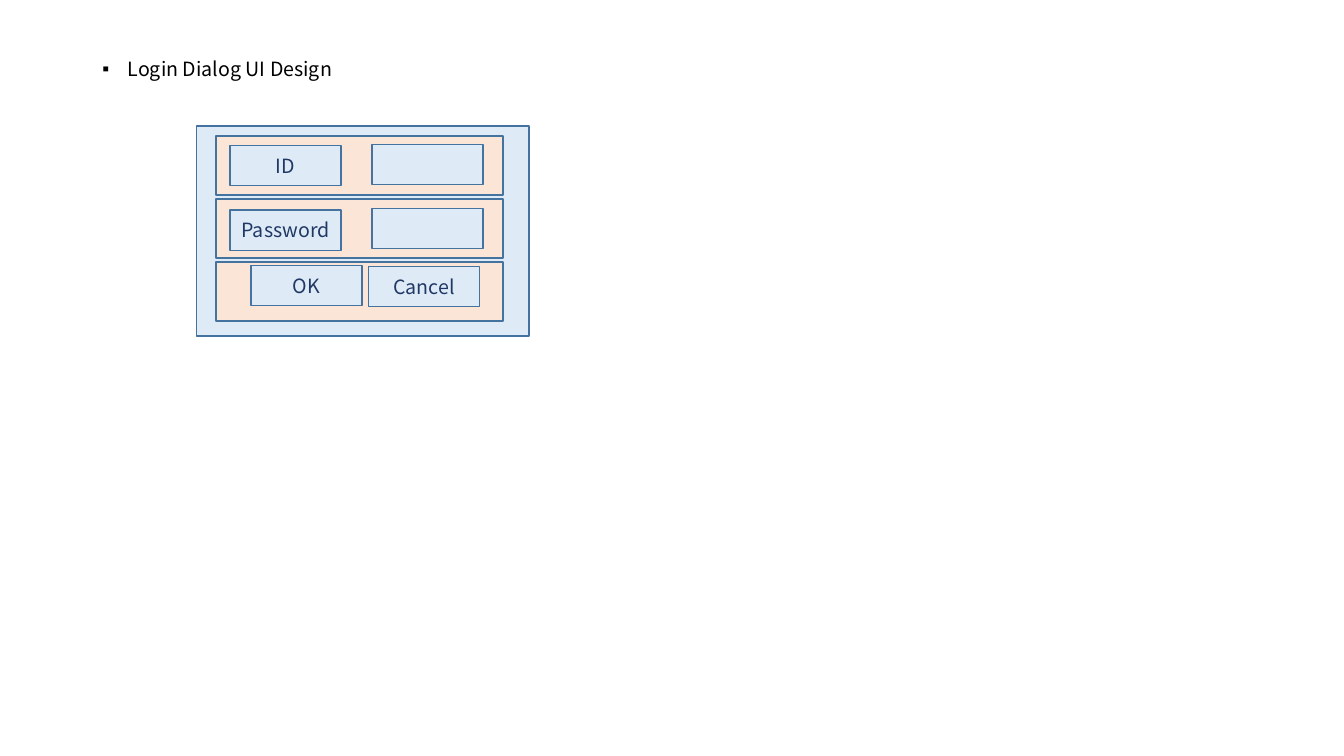
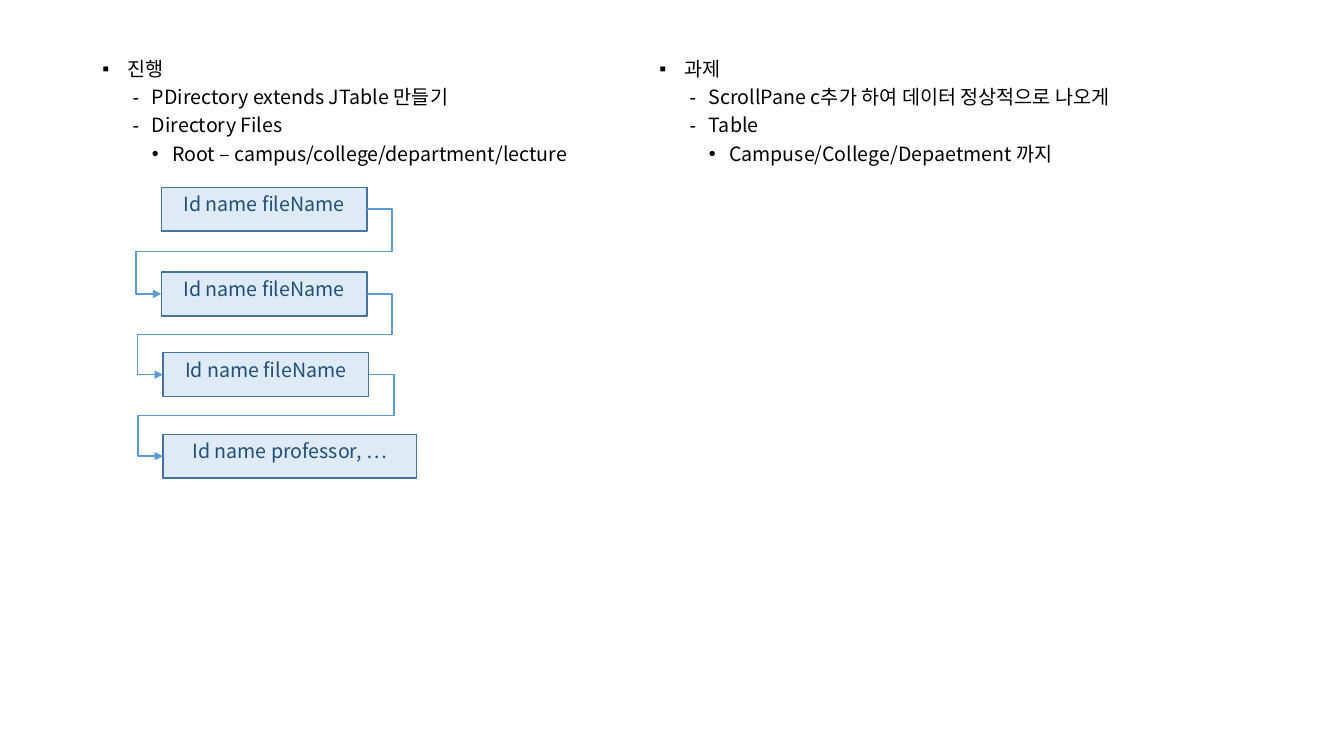
from lxml import etree
from pptx import Presentation
from pptx import util as u
from pptx.dml.color import RGBColor
from pptx.enum import shapes, text
from pptx.oxml.ns import qn

FONT = "Noto Sans CJK KR"
BLACK = RGBColor(0x00, 0x00, 0x00)
PALE_BLUE = RGBColor(0xDE, 0xEB, 0xF7)
PEACH = RGBColor(0xFB, 0xE5, 0xD6)
OUTLINE = RGBColor(0x43, 0x73, 0x9E)
ARROW = RGBColor(0x5B, 0x9B, 0xD5)
NAVY = RGBColor(0x20, 0x38, 0x64)
DEEP_BLUE = RGBColor(0x1F, 0x4E, 0x79)

SLIDE_WIDTH, SLIDE_HEIGHT = u.Inches(13.33), u.Inches(7.5)
COLUMN, ROW = SLIDE_WIDTH / 160, SLIDE_HEIGHT / 90

ONE_CONTENT, TWO_CONTENT = 1, 3
LEFT_BODY = (11, 6.5, 64.3, 74.6)
RIGHT_BODY = (77.3, 6.5, 73, 74.6)
LEVELS = [
    {"bullet": "▪", "margin": 0.25, "indent": -0.25, "before": 10},
    {"bullet": "-", "margin": 0.49, "indent": -0.19, "before": 5},
    {"bullet": "•", "margin": 0.69, "indent": -0.2, "before": 5},
]
FONT_FORMAT = {"name": FONT, "size": u.Pt(14), "bold": False}

DIALOG = (23.4, 15, 39.6, 25)
PANEL_LEFT, PANEL_TOP, PANEL_WIDTH, PANEL_HEIGHT = 25.7, 16.2, 34.2, 7
PANEL_PITCH = 7.5
CONTROL_SIZE = (13.2, 4.8)
PANELS = [
    [("ID", 27.4, 1.1), ("", 44.3, 1)],
    [("Password", 27.4, 1.3), ("", 44.3, 1.1)],
    [("OK", 29.9, 0.4), ("Cancel", 43.9, 0.5)],
]

PROGRESS = [
    (0, "진행"),
    (1, "PDirectory extends JTable 만들기"),
    (1, "Directory Files"),
    (2, "Root – campus/college/department/lecture"),
]
HOMEWORK = [
    (0, "과제"),
    (1, "ScrollPane c추가 하여 데이터 정상적으로 나오게"),
    (1, "Table"),
    (2, "Campuse/College/Depaetment 까지"),
]
RECORD_HEIGHT = 5.2
RECORDS = [
    ("Id name fileName", 19.2, 22.3, 24.5),
    ("Id name fileName", 19.2, 32.4, 24.5),
    ("Id name fileName", 19.4, 42, 24.5),
    ("Id name professor, …", 19.4, 51.7, 30.2),
]
OVERHANG = 3


def cells(left, top, width, height):
    return [round(length) for length in
            (left * COLUMN, top * ROW, width * COLUMN, height * ROW)]


def apply(target, values):
    for name, value in values.items():
        setattr(target, name, value)


def write(paragraph, words, color):
    run = paragraph.add_run()
    run.text = words
    apply(run.font, FONT_FORMAT)
    run.font.color.rgb = color
    properties = run._r.get_or_add_rPr()
    etree.SubElement(properties, qn("a:ea"), typeface=FONT)


def add_bullet(paragraph, level):
    properties = paragraph._p.get_or_add_pPr()
    properties.set("marL", str(u.Inches(level["margin"])))
    properties.set("indent", str(u.Inches(level["indent"])))
    etree.SubElement(properties, qn("a:buFont"), typeface="Arial")
    etree.SubElement(properties, qn("a:buChar"), char=level["bullet"])


def fill_body(placeholder, area, lines):
    apply(placeholder, dict(zip(("left", "top", "width", "height"), cells(*area))))
    frame = placeholder.text_frame
    apply(frame, {"word_wrap": True, "auto_size": text.MSO_AUTO_SIZE.NONE,
                  "vertical_anchor": text.MSO_ANCHOR.TOP})
    for index, (depth, words) in enumerate(lines):
        paragraph = frame.add_paragraph() if index else frame.paragraphs[0]
        level = LEVELS[depth]
        add_bullet(paragraph, level)
        apply(paragraph, {"level": depth, "line_spacing": 0.9,
                          "space_before": u.Pt(level["before"] if index else 0),
                          "space_after": u.Pt(0)})
        write(paragraph, words, BLACK)


def add_slide(presentation, layout, bodies):
    slide = presentation.slides.add_slide(presentation.slide_layouts[layout])
    title = slide.shapes.title._element
    title.getparent().remove(title)
    for placeholder, (area, lines) in zip(slide.placeholders, bodies):
        fill_body(placeholder, area, lines)
    return slide


def add_box(slide, area, fill=PALE_BLUE, words="", color=NAVY,
            anchor=text.MSO_ANCHOR.MIDDLE):
    shape = slide.shapes.add_shape(shapes.MSO_SHAPE.RECTANGLE, *cells(*area))
    shape.shadow.inherit = False
    shape.fill.solid()
    shape.fill.fore_color.rgb = fill
    shape.line.color.rgb = OUTLINE
    shape.line.width = u.Pt(1)
    if words:
        apply(shape.text_frame, {"word_wrap": True, "vertical_anchor": anchor})
        paragraph = shape.text_frame.paragraphs[0]
        paragraph.alignment = text.PP_ALIGN.CENTER
        write(paragraph, words, color)
    return shape


def add_wrapping_arrow(slide, source, target):
    connector = slide.shapes.add_connector(shapes.MSO_CONNECTOR.ELBOW, 0, 0, 0, 0)
    connector.begin_connect(source, 3)
    connector.end_connect(target, 1)
    connector.line.color.rgb = ARROW
    connector.line.width = u.Pt(1)
    properties = connector._element.spPr
    etree.SubElement(connector.line._get_or_add_ln(), qn("a:tailEnd"), type="triangle")
    etree.SubElement(properties, qn("a:effectLst"))
    geometry = properties.find(qn("a:prstGeom"))
    geometry.set("prst", "bentConnector5")
    adjustments = geometry.find(qn("a:avLst"))
    overhang = round(OVERHANG * COLUMN / connector.width * 100000)
    for number, value in enumerate((-overhang, 50000, 100000 + overhang), 1):
        etree.SubElement(adjustments, qn("a:gd"), name=f"adj{number}",
                         fmla=f"val {value}")


def add_login_dialog(slide):
    add_box(slide, DIALOG)
    for index, controls in enumerate(PANELS):
        top = PANEL_TOP + index * PANEL_PITCH
        add_box(slide, (PANEL_LEFT, top, PANEL_WIDTH, PANEL_HEIGHT), PEACH)
        for words, left, offset in controls:
            add_box(slide, (left, top + offset, *CONTROL_SIZE), words=words)


def add_record_chain(slide):
    previous = None
    for words, left, top, width in RECORDS:
        record = add_box(slide, (left, top, width, RECORD_HEIGHT), words=words,
                         color=DEEP_BLUE, anchor=text.MSO_ANCHOR.TOP)
        if previous is not None:
            add_wrapping_arrow(slide, previous, record)
        previous = record


def main():
    presentation = Presentation()
    apply(presentation, {"slide_width": SLIDE_WIDTH, "slide_height": SLIDE_HEIGHT})
    login = add_slide(presentation, ONE_CONTENT,
                      [(LEFT_BODY, [(0, "Login Dialog UI Design")])])
    add_login_dialog(login)
    directory = add_slide(presentation, TWO_CONTENT,
                          [(LEFT_BODY, PROGRESS), (RIGHT_BODY, HOMEWORK)])
    add_record_chain(directory)
    presentation.save("out.pptx")


if __name__ == "__main__":
    main()
